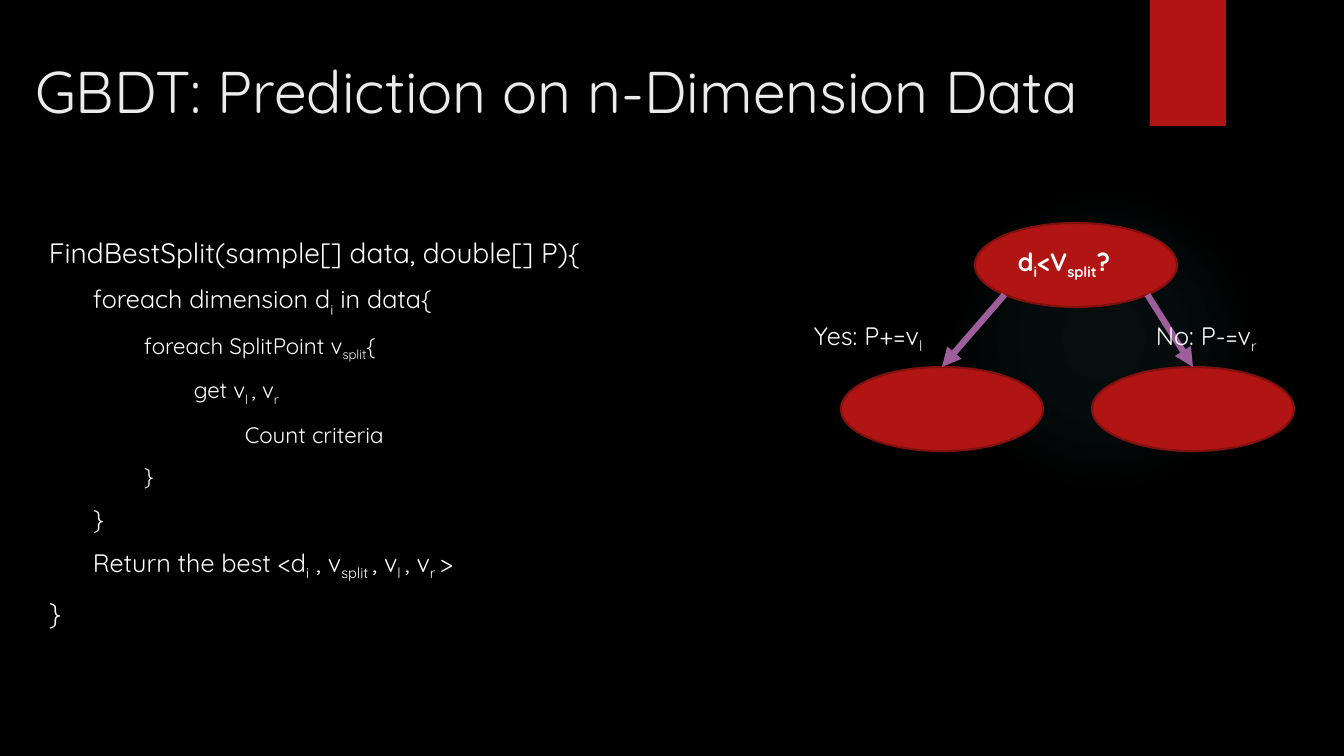
from math import sqrt

from lxml.etree import SubElement
from pptx import Presentation
from pptx.dml.color import RGBColor
from pptx.enum.shapes import MSO_CONNECTOR as Connector, MSO_SHAPE as Shape
from pptx.enum.text import MSO_ANCHOR as Anchor, PP_ALIGN as Align
from pptx.oxml import parse_xml
from pptx.oxml.ns import nsdecls, qn
from pptx.util import Emu, Pt

BLACK = RGBColor(0x00, 0x00, 0x00)
WHITE = RGBColor(0xFF, 0xFF, 0xFF)
TITLE_GREY = RGBColor(0xEB, 0xEB, 0xEB)
RED = RGBColor(0xB0, 0x15, 0x13)
DARK_RED = RGBColor(0x82, 0x10, 0x0E)
PURPLE = RGBColor(0x9E, 0x5E, 0x9B)
GLOW = RGBColor(0x50, 0xB9, 0xC1)
FONT = "Quicksand"

TITLE = "GBDT: Prediction on n-Dimension Data"
TITLE_BOX = (25, 50, 1123, 154)
CODE_BOX = (39, 231, 986, 462)
INDENTS = (0, 44, 95, 145, 196)
# Text pieces alternate between normal and subscript.
CODE = [  # indent level, point size, pieces
    (0, 20, ["FindBestSplit(sample[] data, double[] P){"]),
    (1, 18, ["foreach dimension d", "i", " in data{"]),
    (2, 16, ["foreach SplitPoint v", "split", "{"]),
    (3, 16, ["get v", "l ", ", v", "r"]),
    (4, 16, ["Count criteria"]),
    (2, 16, ["}"]),
    (1, 18, ["}"]),
    (1, 18, ["Return the best <d", "i", " , v", "split ", ", v", "l ", ", v", "r ", ">"]),
    (0, 20, ["}"]),
]

GLOW_BOX = (949, 184, 310, 310)
GLOW_STOPS = [(0, 7), (36, 6), (69, 0)]  # position and opacity, percent
TAG_BOX = (1150, 0, 76, 126)
NODE_WIDTH, NODE_HEIGHT = 202, 84
ROOT = (975, 223)
CHILDREN = [(841, 367), (1092, 367)]
LABEL_WIDTH, LABEL_HEIGHT = 170, 40
LABELS = [  # left, top, bold, pieces
    (804, 315, False, ["Yes: P+=v", "l"]),
    (1146, 315, False, ["No: P-=v", "r"]),
    (1008, 241, True, ["d", "i", "<V", "split", "?"]),
]


def px(length):
    return Emu(round(length * 914400 / 100.8))


def box(*lengths):
    return [px(length) for length in lengths]


def write(paragraph, pieces, size, color=WHITE, bold=False):
    """Fill a paragraph, setting every second piece as a subscript."""
    font = paragraph.font
    font.name, font.size, font.bold = FONT, Pt(size), bold
    font.color.rgb = color
    for index, piece in enumerate(pieces):
        run = paragraph.add_run()
        run.text = piece
        if index % 2:
            run._r.get_or_add_rPr().set("baseline", "-25000")


def add_text_frame(slide, *lengths):
    frame = slide.shapes.add_textbox(*box(*lengths)).text_frame
    frame.word_wrap = True
    return frame


def add_filled(slide, kind, *lengths):
    shape = slide.shapes.add_shape(kind, *box(*lengths))
    shape.shadow.inherit = False
    shape.fill.solid()
    shape.fill.fore_color.rgb = RED
    shape.line.fill.background()
    return shape


def add_glow(slide):
    shape = add_filled(slide, Shape.OVAL, *GLOW_BOX)
    stops = "".join(
        f'<a:gs pos="{position * 1000}"><a:srgbClr val="{GLOW}">'
        f'<a:alpha val="{opacity * 1000}"/></a:srgbClr></a:gs>'
        for position, opacity in GLOW_STOPS
    )
    gradient = parse_xml(
        f'<a:gradFill {nsdecls("a")}><a:gsLst>{stops}</a:gsLst><a:path path="circle">'
        '<a:fillToRect l="50000" t="50000" r="50000" b="50000"/></a:path></a:gradFill>'
    )
    properties = shape._element.spPr
    properties.replace(properties.find(qn("a:solidFill")), gradient)


def add_node(slide, left, top):
    node = add_filled(slide, Shape.OVAL, left, top, NODE_WIDTH, NODE_HEIGHT)
    node.line.color.rgb = DARK_RED
    node.line.width = Pt(1.5)
    return node


def add_branch(slide, side, child):
    """Draw an arrow from the root's lower left (-1) or right (1) to a child's top."""
    start_x = ROOT[0] + NODE_WIDTH / 2 * (1 + side / sqrt(2))
    start_y = ROOT[1] + NODE_HEIGHT / 2 * (1 + 1 / sqrt(2))
    start = box(start_x, start_y)
    branch = slide.shapes.add_connector(Connector.STRAIGHT, *start, *start)
    branch.end_connect(child, 0)
    branch.line.color.rgb = PURPLE
    branch.line.width = Pt(4.5)
    SubElement(branch.line._get_or_add_ln(), qn("a:tailEnd"), type="triangle")
    SubElement(branch._element.spPr, qn("a:effectLst"))


def main():
    presentation = Presentation()
    presentation.slide_width, presentation.slide_height = box(1344, 756)
    slide = presentation.slides.add_slide(presentation.slide_layouts[5])
    slide.background.fill.solid()
    slide.background.fill.fore_color.rgb = BLACK

    add_glow(slide)
    add_filled(slide, Shape.RECTANGLE, *TAG_BOX)

    title = slide.shapes.title
    title.left, title.top, title.width, title.height = box(*TITLE_BOX)
    title.text_frame.vertical_anchor = Anchor.TOP
    heading = title.text_frame.paragraphs[0]
    heading.alignment = Align.LEFT
    write(heading, [TITLE], 42, TITLE_GREY)

    frame = add_text_frame(slide, *CODE_BOX)
    for index, (level, size, pieces) in enumerate(CODE):
        paragraph = frame.add_paragraph() if index else frame.paragraphs[0]
        paragraph.space_before = Pt(10 if index else 0)
        paragraph._p.get_or_add_pPr().set("marL", str(px(INDENTS[level])))
        write(paragraph, pieces, size)

    add_node(slide, *ROOT)
    children = [add_node(slide, *corner) for corner in CHILDREN]
    for side, child in zip((-1, 1), children):
        add_branch(slide, side, child)
    for left, top, bold, pieces in LABELS:
        label = add_text_frame(slide, left, top, LABEL_WIDTH, LABEL_HEIGHT)
        write(label.paragraphs[0], pieces, 18, bold=bold)

    presentation.save("out.pptx")


if __name__ == "__main__":
    main()
